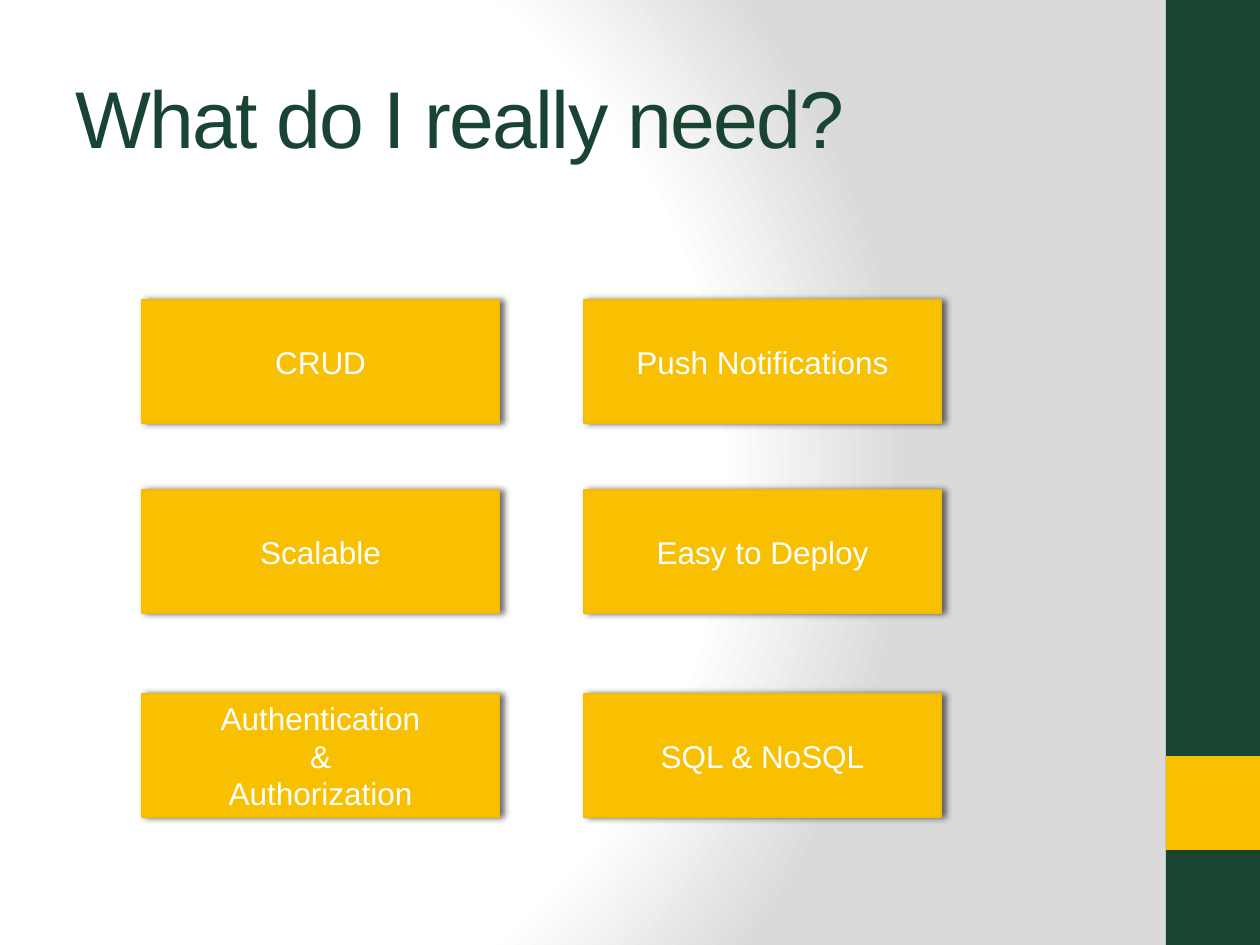
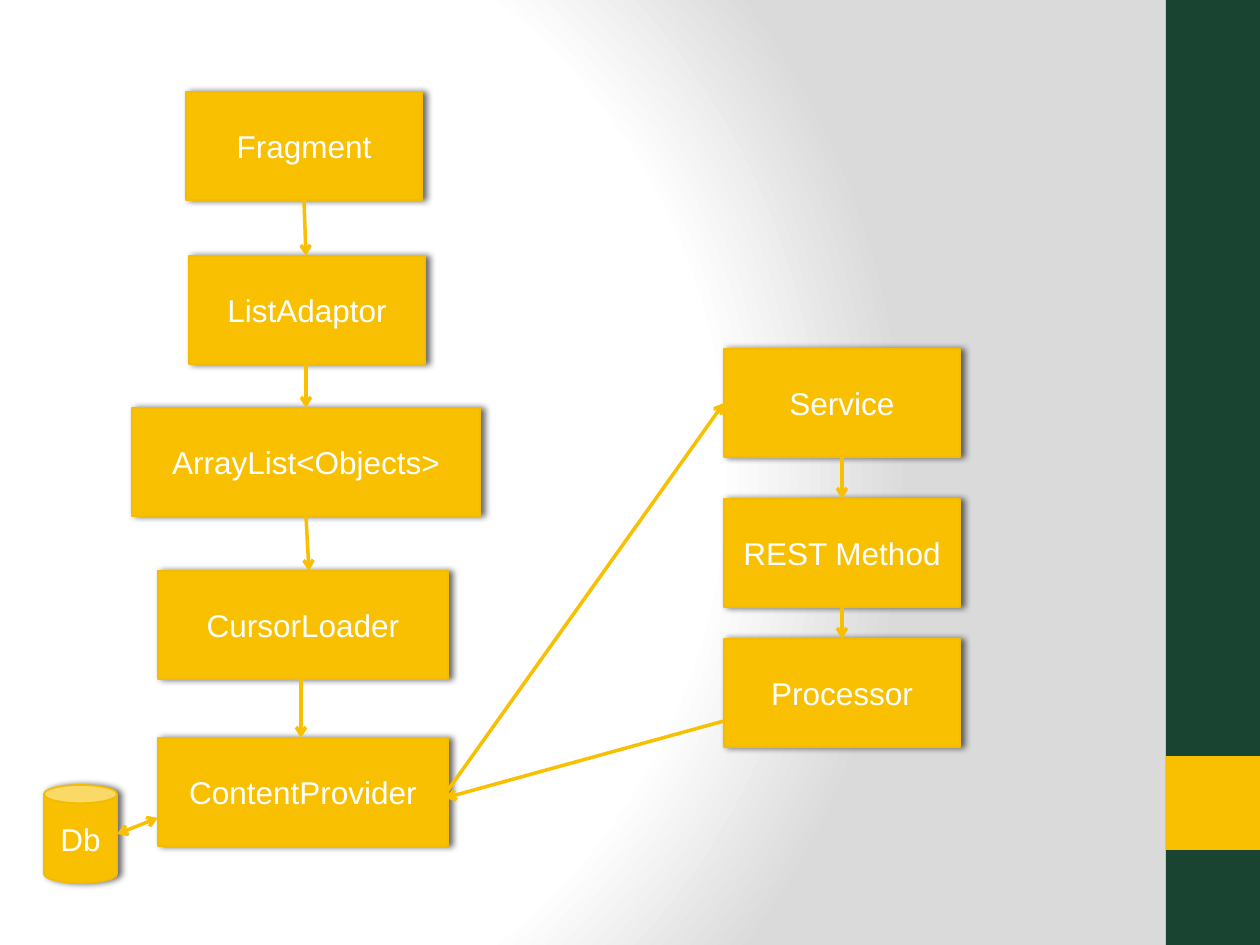
from dataclasses import dataclass

from lxml import etree
from pptx import Presentation, util as u
from pptx.dml.color import RGBColor
from pptx.enum import shapes, text
from pptx.oxml import parse_xml
from pptx.oxml.ns import nsdecls, qn

PX_PER_INCH = 126
GREEN = RGBColor(0x19, 0x44, 0x31)
GOLD = RGBColor(0xF8, 0xC0, 0x00)
GOLD_EDGE = RGBColor(0xF3, 0xBC, 0x00)
WHITE = RGBColor(0xFF, 0xFF, 0xFF)
SILVER = RGBColor(0xDA, 0xDA, 0xDA)
BLACK = RGBColor(0x00, 0x00, 0x00)
FONT = "Arial"
NODE_HEIGHT = 108
TITLE_ONLY, BLANK = 5, 6


@dataclass
class Box:
    """A region of the slide in px."""

    left: int
    top: int
    width: int
    height: int

    def inner(self, left, top, width, height):
        """Return a box placed relative to this one."""
        return Box(self.left + left, self.top + top, width, height)

    def emu(self):
        """Return the four lengths in EMU."""
        return [px(n) for n in (self.left, self.top, self.width, self.height)]


def px(length):
    """Turn px into EMU."""
    return u.Emu(round(length * 914400 / PX_PER_INCH))


def add_span(para, words, size, color):
    """Add one formatted run."""
    span = para.add_run()
    span.text = words
    span.font.name = FONT
    span.font.size = u.Pt(size)
    span.font.color.rgb = color
    return span


def add_shape(page, kind, box, color):
    """Add a plain filled shape without line or shadow."""
    shape = page.shapes.add_shape(kind, *box.emu())
    shape.shadow.inherit = False
    shape.fill.solid()
    shape.fill.fore_color.rgb = color
    shape.line.fill.background()
    return shape


def add_node(page, box, *lines, kind=shapes.MSO_SHAPE.RECTANGLE):
    """Add a gold shadowed shape with centred lines of text."""
    node = add_shape(page, kind, box, GOLD)
    node.line.color.rgb = GOLD_EDGE
    node.line.width = u.Pt(1)
    effects = node.element.spPr.find(qn("a:effectLst"))
    effects.append(parse_xml(
        f'<a:outerShdw {nsdecls("a")} blurRad="{u.Pt(4)}" dist="{u.Pt(2)}" dir="0" '
        f'rotWithShape="0"><a:srgbClr val="{BLACK}"><a:alpha val="60000"/>'
        '</a:srgbClr></a:outerShdw>'))
    frame = node.text_frame
    frame.word_wrap = True
    frame.vertical_anchor = text.MSO_ANCHOR.MIDDLE
    for index, line in enumerate(lines):
        para = frame.add_paragraph() if index else frame.paragraphs[0]
        para.alignment = text.PP_ALIGN.CENTER
        add_span(para, line, 18, WHITE)


def add_arrow(page, start, end, ends=("tailEnd",)):
    """Add a gold arrow between two points."""
    arrow = page.shapes.add_connector(
        shapes.MSO_CONNECTOR.STRAIGHT, *map(px, (*start, *end)))
    arrow.line.color.rgb = GOLD
    arrow.line.width = u.Pt(2)
    properties = arrow.element.spPr
    for name in ends:
        etree.SubElement(properties.find(qn("a:ln")), qn(f"a:{name}"), type="arrow")
    etree.SubElement(properties, qn("a:effectLst"))


def style_master(deck, page):
    """Give the master its gradient background and side bands."""
    sheet = deck.slide_master.element.cSld
    for old in sheet.findall(qn("p:bg")):
        sheet.remove(old)
    stops = "".join(
        f'<a:gs pos="{place * 1000}"><a:srgbClr val="{color}"/></a:gs>'
        for place, color in ((0, WHITE), (75, WHITE), (100, SILVER)))
    sheet.insert(0, parse_xml(
        f'<p:bg {nsdecls("p", "a")}><p:bgPr><a:gradFill rotWithShape="1">'
        f'<a:gsLst>{stops}</a:gsLst><a:path path="circle">'
        '<a:fillToRect l="20000" t="50000" r="100000" b="50000"/></a:path>'
        '</a:gradFill><a:effectLst/></p:bgPr></p:bg>'))
    side = Box(1166, 0, 94, 945)
    bands = ((side, GREEN), (side.inner(0, 756, 94, 94), GOLD))
    for index, (box, color) in enumerate(bands):
        band = add_shape(page, shapes.MSO_SHAPE.RECTANGLE, box, color)
        sheet.spTree.insert(2 + index, band.element)


def set_title(page, box, words):
    """Place and format the title placeholder."""
    title = page.shapes.title
    title.left, title.top, title.width, title.height = box.emu()
    frame = title.text_frame
    frame.word_wrap = True
    frame.auto_size = text.MSO_AUTO_SIZE.NONE
    frame.vertical_anchor = text.MSO_ANCHOR.MIDDLE
    para = frame.paragraphs[0]
    para.alignment = text.PP_ALIGN.LEFT
    span = add_span(para, words, 46, GREEN)
    span.font.element.set("spc", "-100") if hasattr(span.font, "element") else \
        para.runs[0]._r.get_or_add_rPr().set("spc", "-100")


def add_needs(page, box):
    """Lay out the needs in two columns and three rows."""
    width, height = 357, 123
    rows = (
        (0, ("CRUD",), ("Push Notifications",)),
        (190, ("Scalable",), ("Easy to Deploy",)),
        (394, ("Authentication", "&", "Authorization"), ("SQL & NoSQL",)),
    )
    for top, *cells in rows:
        for column, lines in enumerate(cells):
            left = column * (box.width - width)
            add_node(page, box.inner(left, top, width, height), *lines)


def add_chain(page, box, nodes, links):
    """Stack nodes in a box and join each to the next by an arrow."""
    for left, top, width, label in nodes:
        add_node(page, box.inner(left, top, width, NODE_HEIGHT), label)
    for upper, lower, (start, end) in zip(nodes, nodes[1:], links):
        add_arrow(page,
                  (box.left + start, box.top + upper[1] + NODE_HEIGHT),
                  (box.left + end, box.top + lower[1]))


def build_needs(page):
    """Build the slide of needs."""
    set_title(page, Box(63, 38, 1050, 157), "What do I really need?")
    add_needs(page, Box(142, 300, 799, 517))


def build_flow(page):
    """Build the slide of the data flow."""
    add_chain(page, Box(132, 92, 348, 754), (
        (54, 0, 236, "Fragment"),
        (57, 164, 236, "ListAdaptor"),
        (0, 316, 348, "ArrayList<Objects>"),
        (26, 479, 290, "CursorLoader"),
        (26, 646, 290, "ContentProvider"),
    ), ((172, 174), (174, 174), (174, 177), (169, 169)))
    add_chain(page, Box(724, 349, 236, 398), (
        (0, 0, 236, "Service"),
        (0, 150, 236, "REST Method"),
        (0, 290, 236, "Processor"),
    ), ((118, 118), (118, 118)))
    add_node(page, Box(44, 785, 73, 98), "Db", kind=shapes.MSO_SHAPE.CAN)
    add_arrow(page, (446, 793), (724, 403))
    add_arrow(page, (724, 721), (445, 798))
    add_arrow(page, (158, 818), (117, 834), ("headEnd", "tailEnd"))


def main():
    """Build and save the deck."""
    deck = Presentation()
    deck.slide_width, deck.slide_height = px(1260), px(945)
    needs = deck.slides.add_slide(deck.slide_layouts[TITLE_ONLY])
    style_master(deck, needs)
    build_needs(needs)
    build_flow(deck.slides.add_slide(deck.slide_layouts[BLANK]))
    deck.save("out.pptx")


if __name__ == "__main__":
    main()
